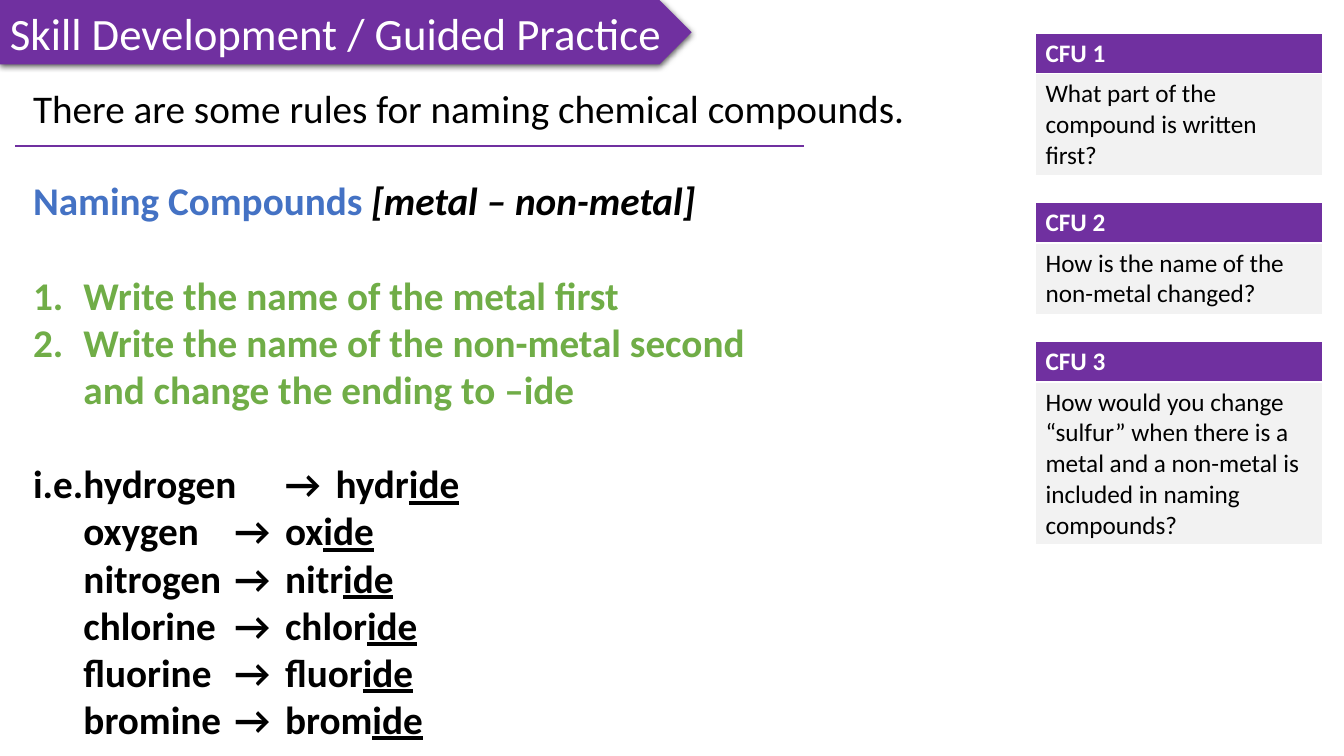
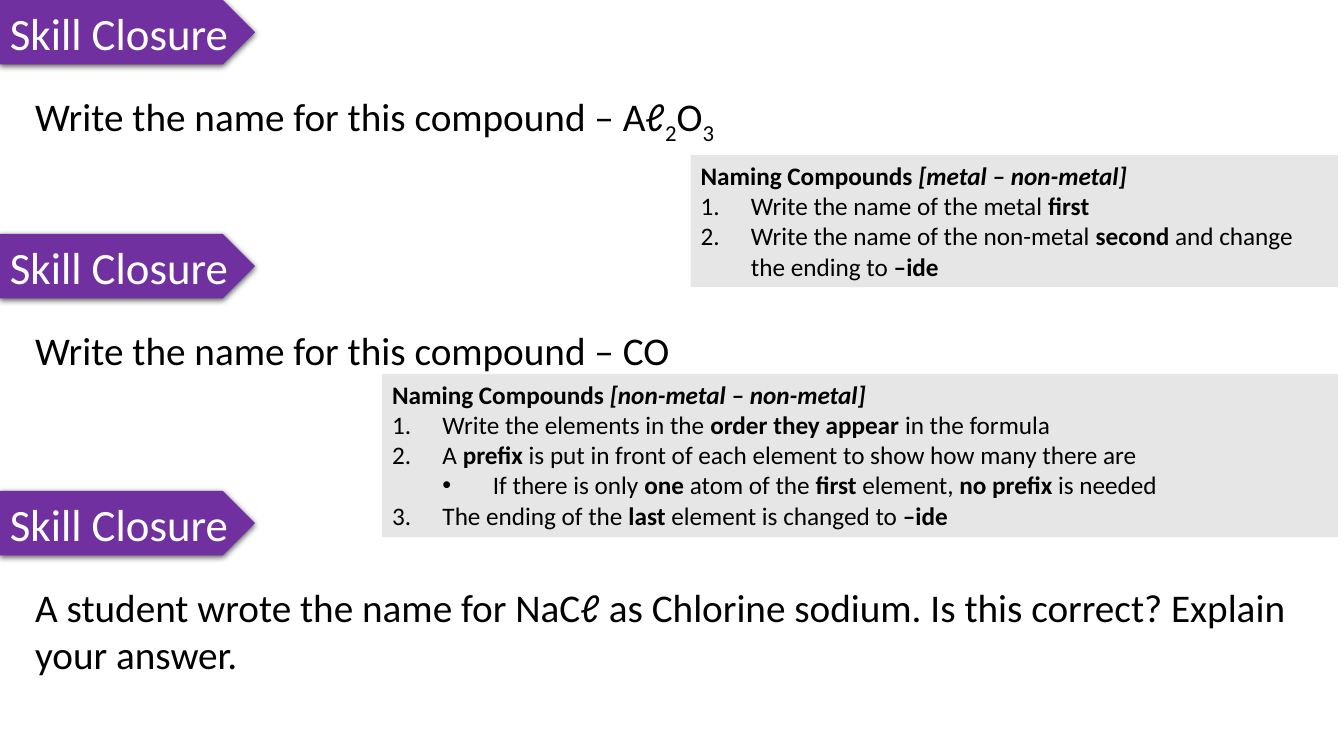
from lxml import etree
from pptx import Presentation
from pptx.dml.color import RGBColor
from pptx.enum.shapes import MSO_CONNECTOR, MSO_SHAPE
from pptx.enum.text import MSO_ANCHOR, PP_ALIGN
from pptx.oxml.ns import qn
from pptx.util import Inches, Pt

FONT = "Calibri"
COLORS = {
    "purple": "7030A0", "white": "FFFFFF", "black": "000000", "blue": "4472C4",
    "green": "70AD47", "pale": "F2F2F2", "gray": "E7E6E6",
}
BAND_H = 0.64
BODY_SIZE, NOTE_SIZE, BAND_SIZE = 28, 18, 32
LINE_GAP = 34

CFUS = [
    (0.33, 1.40, "What part of the compound is written first?"),
    (2.01, 1.10, "How is the name of the non-metal changed?"),
    (3.39, 2.00, "How would you change “sulfur” when there is a metal and a "
                 "non-metal is included in naming compounds?"),
]
ELEMENTS = [
    ("hydrogen", "hydr"), ("oxygen", "ox"), ("nitrogen", "nitr"),
    ("chlorine", "chlor"), ("fluorine", "fluor"), ("bromine", "brom"),
]
# Paragraphs are (marker, runs); runs are (text, flags): b, i, u, or s for subscript
CLOSURES = [
    (0, 10.73, 0.57, [("Write the name for this compound – Aℓ", ""), ("2", "s"),
                      ("O", ""), ("3", "s")]),
    (2.32, 10.73, 0.57, [("Write the name for this compound – CO", "")]),
    (4.87, 12.92, 1.04, [("A student wrote the name for NaCℓ as Chlorine sodium. "
                          "Is this correct? Explain your answer.", "")]),
]
METAL_RULES = [
    ("", [("Naming Compounds ", "b"), ("[metal – non-metal]", "bi")]),
    ("1.", [("Write the name of the metal ", ""), ("first", "b")]),
    ("1.", [("Write the name of the non-metal ", ""), ("second", "b"),
            (" and change the ending to ", ""), ("–ide", "b")]),
]
NON_METAL_RULES = [
    ("", [("Naming Compounds ", "b"), ("[non-metal – non-metal]", "bi")]),
    ("1.", [("Write the elements in the ", ""), ("order they appear ", "b"),
            ("in the formula", "")]),
    ("1.", [("A ", ""), ("prefix", "b"),
            (" is put in front of each element to show how many there are", "")]),
    ("•", [("If there is only ", ""), ("one", "b"), (" atom of the ", ""),
           ("first", "b"), (" element, ", ""), ("no prefix ", "b"), ("is needed", "")]),
    ("1.", [("The ending of the ", ""), ("last", "b"),
            (" element is changed to ", ""), ("–ide", "b")]),
]


def rgb(name):
    return RGBColor.from_string(COLORS[name])


def box(x, y, w, h):
    return [Inches(v) for v in (x, y, w, h)]


def add_runs(p, runs, size, color="black"):
    p.alignment = PP_ALIGN.LEFT
    for text, flags in runs:
        r = p.add_run()
        r.text = text
        f = r.font
        f.name, f.size = FONT, Pt(size)
        f.bold, f.italic, f.underline = "b" in flags, "i" in flags, "u" in flags
        f.color.rgb = rgb(color)
        if "s" in flags:
            f._element.set("baseline", "-25000")


def set_marker(p, marker):
    """Give the paragraph a hanging number ("1.") or a second-level bullet ("•")."""
    pPr = p._p.get_or_add_pPr()
    if marker == "•":
        p.level = 1
        etree.SubElement(pPr, qn("a:buFont"), typeface="Arial")
        etree.SubElement(pPr, qn("a:buChar"), char=marker)
    else:
        etree.SubElement(pPr, qn("a:buAutoNum"), type="arabicPeriod")
    pPr.set("marL", str(Inches(0.5 * (p.level + 1))))
    pPr.set("indent", str(Inches(-0.5)))


def next_paragraph(tf):
    return tf.add_paragraph() if tf.paragraphs[0].runs else tf.paragraphs[0]


def add_text(s, x, y, w, h):
    tf = s.shapes.add_textbox(*box(x, y, w, h)).text_frame
    tf.word_wrap = True
    return tf


def add_filled(s, kind, x, y, w, h, fill):
    sp = s.shapes.add_shape(kind, *box(x, y, w, h))
    sp.shadow.inherit = False
    sp.fill.solid()
    sp.fill.fore_color.rgb = rgb(fill)
    sp.line.fill.background()
    return sp


def add_band(s, y, w, title):
    sp = add_filled(s, MSO_SHAPE.PENTAGON, 0, y, w, BAND_H, "purple")
    effects = sp._element.spPr.find(qn("a:effectLst"))
    shadow = etree.SubElement(effects, qn("a:outerShdw"), blurRad=str(Pt(4.5)),
                              dist=str(Pt(1.5)), dir="5400000", algn="t", rotWithShape="0")
    clr = etree.SubElement(shadow, qn("a:srgbClr"), val=COLORS["black"])
    etree.SubElement(clr, qn("a:alpha"), val="63000")
    tf = sp.text_frame
    tf.word_wrap = False
    tf.vertical_anchor = MSO_ANCHOR.MIDDLE
    add_runs(tf.paragraphs[0], [(title, "")], BAND_SIZE, "white")


def add_rule(s, x, y, w):
    ln = s.shapes.add_connector(MSO_CONNECTOR.STRAIGHT, Inches(x), Inches(y),
                                Inches(x + w), Inches(y))
    ln.line.color.rgb = rgb("purple")
    ln.line.width = Pt(1.5)
    etree.SubElement(ln._element.spPr, qn("a:effectLst"))


def add_cfu(s, x, y, w, h, title, question):
    head_h = 0.39
    table = s.shapes.add_table(2, 1, *box(x, y, w, h)).table
    rows = [(head_h, title, "b", "white", "purple"),
            (h - head_h, question, "", "black", "pale")]
    for i, (row_h, text, flags, color, fill) in enumerate(rows):
        table.rows[i].height = Inches(row_h)
        cell = table.cell(i, 0)
        cell.fill.solid()
        cell.fill.fore_color.rgb = rgb(fill)
        add_runs(cell.text_frame.paragraphs[0], [(text, flags)], NOTE_SIZE, color)


def add_rules_note(s, x, y, w, h, paragraphs):
    tf = add_filled(s, MSO_SHAPE.RECTANGLE, x, y, w, h, "gray").text_frame
    tf.word_wrap = True
    tf.vertical_anchor = MSO_ANCHOR.TOP
    for marker, runs in paragraphs:
        p = next_paragraph(tf)
        if marker:
            set_marker(p, marker)
        add_runs(p, runs, NOTE_SIZE)


def add_naming_rules(s, x, y, w, h):
    tf = add_text(s, x, y, w, h)
    p = tf.paragraphs[0]
    add_runs(p, [("Naming Compounds ", "b")], BODY_SIZE, "blue")
    add_runs(p, [("[metal – non-metal]", "bi")], BODY_SIZE)
    steps = ["Write the name of the metal first",
             "Write the name of the non-metal second and change the ending to –ide"]
    for i, step in enumerate(steps):
        p = tf.add_paragraph()
        set_marker(p, "1.")
        add_runs(p, [(step, "b")], BODY_SIZE, "green")
        if i == 0:
            p.space_before = Pt(LINE_GAP)
    for i, (element, stem) in enumerate(ELEMENTS):
        p = tf.add_paragraph()
        lead = "" if i else "i.e."
        add_runs(p, [(f"{lead}\t{element}\t→\t{stem}", "b"), ("ide", "bu")], BODY_SIZE)
        if i == 0:
            p.space_before = Pt(LINE_GAP)


def guided_practice(s):
    add_band(s, 0, 6.86, "Skill Development / Guided Practice")
    tf = add_text(s, 0.23, 0.79, 8.98, 0.57)
    add_runs(tf.paragraphs[0],
             [("There are some rules for naming chemical compounds.", "")], BODY_SIZE)
    add_rule(s, 0.15, 1.45, 7.82)
    for n, (y, h, question) in enumerate(CFUS, 1):
        add_cfu(s, 10.27, y, 2.85, h, f"CFU {n}", question)
    add_naming_rules(s, 0.23, 1.7, 7.66, 5.8)


def skill_closure(s):
    for y, w, h, question in CLOSURES:
        add_band(s, y, 2.53, "Skill Closure")
        tf = add_text(s, 0.25, y + 0.87, w, h)
        add_runs(tf.paragraphs[0], question, BODY_SIZE)
    add_rules_note(s, 6.85, 1.54, 6.42, 1.31, METAL_RULES)
    add_rules_note(s, 3.79, 3.71, 9.48, 1.62, NON_METAL_RULES)


def main():
    prs = Presentation()
    prs.slide_width, prs.slide_height = Inches(13.33), Inches(7.5)
    for build in (guided_practice, skill_closure):
        build(prs.slides.add_slide(prs.slide_layouts[6]))
    prs.save("out.pptx")


if __name__ == "__main__":
    main()
